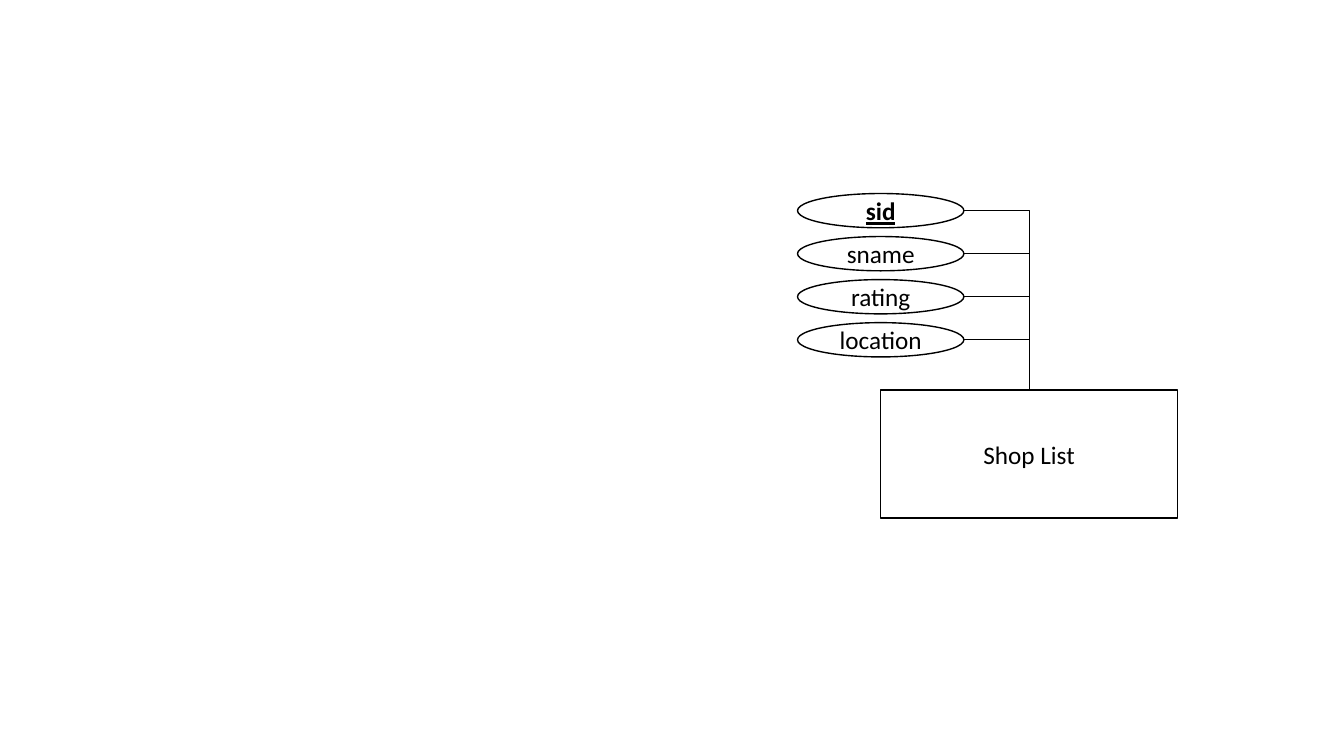
from pptx import Presentation
from pptx.dml.color import RGBColor
from pptx.enum.shapes import MSO_CONNECTOR, MSO_SHAPE
from pptx.enum.text import MSO_ANCHOR, PP_ALIGN
from pptx.oxml.ns import qn
from pptx.util import Inches, Pt
from lxml import etree

RECTANGLE = MSO_SHAPE.RECTANGLE
OVAL = MSO_SHAPE.OVAL
ELBOW = MSO_CONNECTOR.ELBOW
MIDDLE = MSO_ANCHOR.MIDDLE
CENTER = PP_ALIGN.CENTER
BLACK = "000000"
FONT = "Calibri"
BLANK_LAYOUT = 6

ATTRIBUTES = ["sid", "sname", "rating", "location"]
KEY_ATTRIBUTE = "sid"


def color(hex_value):
    return RGBColor.from_string(hex_value)


def write_text(shape, text, size=18, bold=False, underline=False, hex_value=BLACK):
    frame = shape.text_frame
    frame.word_wrap = True
    frame.vertical_anchor = MIDDLE
    frame.margin_left = frame.margin_right = 0
    frame.margin_top = frame.margin_bottom = 0
    paragraph = frame.paragraphs[0]
    paragraph.alignment = CENTER
    run = paragraph.add_run()
    run.text = text
    run.font.name = FONT
    run.font.size = Pt(size)
    run.font.bold = bold
    run.font.underline = underline
    run.font.color.rgb = color(hex_value)


def add_outline(slide, kind, left, top, width, height, text, **text_format):
    shape = slide.shapes.add_shape(
        kind, Inches(left), Inches(top), Inches(width), Inches(height)
    )
    shape.shadow.inherit = False
    shape.fill.background()
    shape.line.color.rgb = color(BLACK)
    shape.line.width = Pt(1)
    write_text(shape, text, **text_format)


def add_corner_connector(slide, start_x, start_y, end_x, end_y):
    connector = slide.shapes.add_connector(
        ELBOW, Inches(start_x), Inches(start_y), Inches(end_x), Inches(end_y)
    )
    connector.line.color.rgb = color(BLACK)
    connector.line.width = Pt(0.5)
    properties = connector._element.spPr
    properties.find(qn("a:prstGeom")).set("prst", "bentConnector2")
    etree.SubElement(properties, qn("a:effectLst"))


def add_entity(slide, left, top, width, height, name, attributes):
    oval_width, oval_height, pitch = 1.65, 0.34, 0.427
    entity_left, entity_top = left + oval_width / 2, top + 1.95
    entity_width, entity_height = width - oval_width / 2, height - 1.95
    entity_center = entity_left + entity_width / 2

    add_outline(
        slide, RECTANGLE, entity_left, entity_top, entity_width, entity_height, name
    )
    for index, attribute in enumerate(attributes):
        oval_top = top + index * pitch
        is_key = attribute == KEY_ATTRIBUTE
        add_outline(
            slide, OVAL, left, oval_top, oval_width, oval_height, attribute,
            bold=is_key, underline=is_key,
        )
        add_corner_connector(
            slide, left + oval_width, oval_top + oval_height / 2,
            entity_center, entity_top,
        )


def main():
    presentation = Presentation()
    presentation.slide_width = Inches(13.33)
    presentation.slide_height = Inches(7.5)
    slide = presentation.slides.add_slide(presentation.slide_layouts[BLANK_LAYOUT])
    add_entity(slide, 7.91, 1.92, 3.77, 3.22, "Shop List", ATTRIBUTES)
    presentation.save("out.pptx")


if __name__ == "__main__":
    main()
